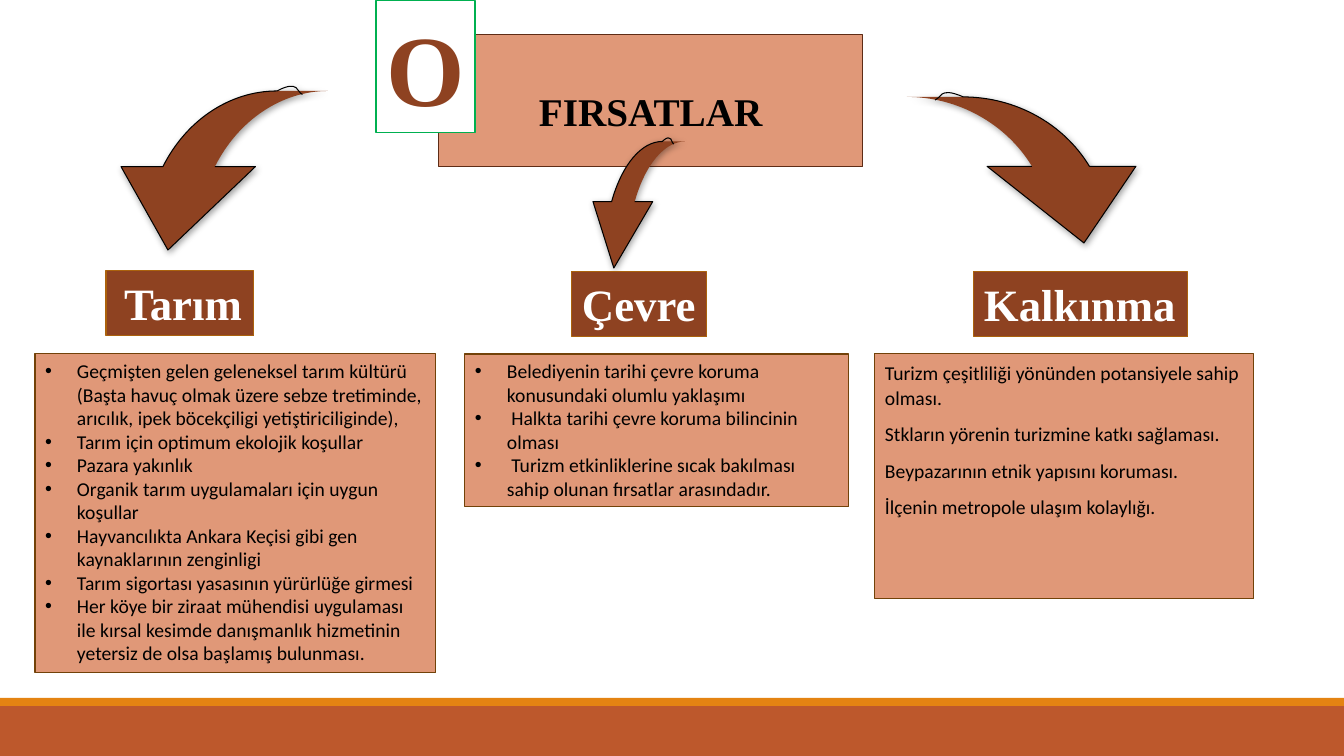
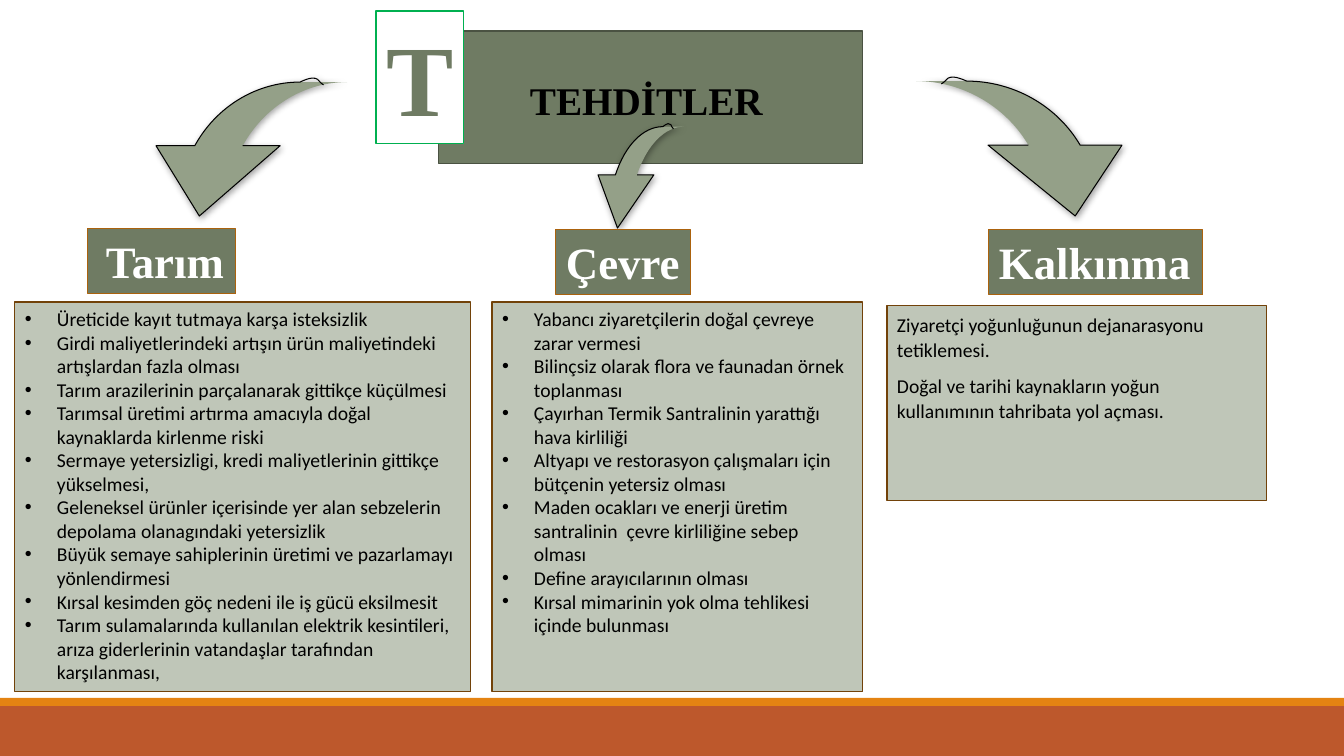
import pptx
import pptx.dml.color
import pptx.enum.shapes
import pptx.enum.text
import pptx.oxml
import pptx.oxml.ns
import pptx.util

PX = 914400 / 100.8
PAGE_WIDTH, PAGE_HEIGHT = 1344, 756
INSET_X, INSET_Y = 10, 5
BULLET_INDENT = 32
NAMESPACE = pptx.oxml.ns.nsdecls("a")

COLOURS = {
    "white": "FFFFFF", "black": "000000",
    "band": "BD582C", "stripe": "E48312",
    "letter_line": "00B050", "tag_line": "AB620D", "panel_line": "724209",
}
THEMES = {
    "rust": {"title": "E09878", "title_line": "5E2C16", "tag": "8E4221",
             "arrow": "8E4221", "panel": "E09878"},
    "sage": {"title": "6F7B63", "title_line": "4A5242", "tag": "6F7B63",
             "arrow": "94A088", "panel": "BFC6B8"},
}
FORMATS = {
    "letter": {"name": "Times New Roman", "size": pptx.util.Pt(72), "bold": True},
    "title": {"name": "Times New Roman", "size": pptx.util.Pt(28), "bold": True},
    "tag": {"name": "Times New Roman", "size": pptx.util.Pt(32), "bold": True},
    "body": {"name": "Calibri", "size": pptx.util.Pt(14), "bold": False},
}
SPACED = {"line_spacing": 1.07, "space_after": pptx.util.Pt(8)}

# Curved arrow in thousandths of its frame: M move, L line, C curve
ARROW_HEAD = [("L", (1000, 512)), ("L", (773, 1000)),
              ("L", (350, 512)), ("L", (546, 512))]
OUTER_CURVE = ("C", (471, 70), (683, 237), (797, 512))
ARROW_BODY = [("M", (246, 70)), OUTER_CURVE, *ARROW_HEAD,
              ("C", (432, 237), (220, 70), (0, 70)), ("Z",)]
ARROW_EDGE = [("M", (123, 90)), ("C", (150, 83), (137, 0), (246, 70)),
              OUTER_CURVE, *ARROW_HEAD]
COMMANDS = {"M": "moveTo", "L": "lnTo", "C": "cubicBezTo", "Z": "close"}

SHADOW = (
    f'<a:effectLst {NAMESPACE}><a:outerShdw blurRad="63500" dist="25400" '
    'dir="3720000" rotWithShape="0"><a:srgbClr val="000000">'
    '<a:alpha val="37000"/></a:srgbClr></a:outerShdw></a:effectLst>')

SLIDES = [
    {
        "theme": "rust",
        "title": ("FIRSATLAR", (439, 35, 424, 132), (529, 82, 246, 57)),
        "letter": ("O", (376, 1, 99, 132)),
        "arrows": [((121, 79, 207, 171), True), ((593, 132, 92, 136), True),
                   ((907, 86, 229, 157), False)],
        "tags": [(106, 271), (572, 272), (974, 272)],
        "panels": [
            ((35, 354, 401, 319), True, [
                "Geçmişten gelen geleneksel tarım kültürü (Başta havuç olmak üzere "
                "sebze tretiminde, arıcılık, ipek böcekçiligi yetiştiriciliginde),",
                "Tarım için optimum ekolojik koşullar",
                "Pazara yakınlık",
                "Organik tarım uygulamaları için uygun koşullar",
                "Hayvancılıkta Ankara Keçisi gibi gen kaynaklarının zenginligi",
                "Tarım sigortası yasasının yürürlüğe girmesi",
                "Her köye bir ziraat mühendisi uygulaması ile kırsal kesimde "
                "danışmanlık hizmetinin yetersiz de olsa başlamış bulunması.",
            ]),
            ((465, 354, 384, 153), True, [
                "Belediyenin tarihi çevre koruma konusundaki olumlu yaklaşımı",
                " Halkta tarihi çevre koruma bilincinin olması",
                " Turizm etkinliklerine sıcak bakılması sahip olunan fırsatlar "
                "arasındadır.",
            ]),
            ((875, 354, 379, 245), False, [
                "Turizm çeşitliliği yönünden potansiyele sahip olması.",
                "Stkların yörenin turizmine katkı sağlaması.",
                "Beypazarının etnik yapısını koruması.",
                "İlçenin metropole ulaşım kolaylığı.",
            ]),
        ],
    },
    {
        "theme": "sage",
        "title": ("TEHDİTLER", (439, 31, 424, 133), (520, 71, 255, 57)),
        "letter": ("T", (376, 11, 88, 133)),
        "arrows": [((156, 72, 191, 144), True), ((598, 119, 86, 109), True),
                   ((916, 71, 206, 145), False)],
        "tags": [(88, 229), (556, 230), (989, 230)],
        "panels": [
            ((15, 302, 456, 390), True, [
                "Üreticide kayıt tutmaya karşa isteksizlik",
                "Girdi maliyetlerindeki artışın ürün maliyetindeki artışlardan "
                "fazla olması",
                "Tarım arazilerinin parçalanarak gittikçe küçülmesi",
                "Tarımsal üretimi artırma amacıyla doğal kaynaklarda kirlenme riski",
                "Sermaye yetersizligi, kredi maliyetlerinin gittikçe yükselmesi,",
                "Geleneksel ürünler içerisinde yer alan sebzelerin depolama "
                "olanagındaki yetersizlik",
                "Büyük semaye sahiplerinin üretimi ve pazarlamayı yönlendirmesi",
                "Kırsal kesimden göç nedeni ile iş gücü eksilmesit",
                "Tarım sulamalarında kullanılan elektrik kesintileri, arıza "
                "giderlerinin vatandaşlar tarafından karşılanması,",
            ]),
            ((492, 302, 371, 390), True, [
                "Yabancı ziyaretçilerin doğal çevreye zarar vermesi",
                "Bilinçsiz olarak flora ve faunadan örnek toplanması",
                "Çayırhan Termik Santralinin yarattığı hava kirliliği",
                "Altyapı ve restorasyon çalışmaları için bütçenin yetersiz olması",
                "Maden ocakları ve enerji üretim santralinin  çevre kirliliğine "
                "sebep olması",
                "Define arayıcılarının olması",
                "Kırsal mimarinin yok olma tehlikesi içinde bulunması",
            ]),
            ((887, 306, 380, 195), False, [
                "Ziyaretçi yoğunluğunun dejanarasyonu tetiklemesi.",
                "Doğal ve tarihi kaynakların yoğun kullanımının tahribata yol "
                "açması.",
            ]),
        ],
    },
]
# Column headings: text, width, left inset
TAGS = [("Tarım", 148, 18), ("Çevre", 135, INSET_X), ("Kalkınma", 214, INSET_X)]
TAG_HEIGHT = 65


def px(length):
    return pptx.util.Emu(round(length * PX))


def rgb(colour):
    return pptx.dml.color.RGBColor.from_string(colour)


def paint(shape, fill, line=None):
    """Set a flat fill and a thin outline, if any."""
    shape.shadow.inherit = False
    shape.fill.solid()
    shape.fill.fore_color.rgb = rgb(fill)
    if line:
        shape.line.color.rgb = rgb(line)
        shape.line.width = pptx.util.Pt(0.75)
    else:
        shape.line.fill.background()


def add_box(page, frame, fill, line=None):
    box = page.shapes.add_shape(
        pptx.enum.shapes.MSO_SHAPE.RECTANGLE, *map(px, frame))
    paint(box, fill, line)
    return box


def add_bullet(para):
    properties = para._p.get_or_add_pPr()
    properties.set("marL", str(px(BULLET_INDENT)))
    properties.set("indent", str(-px(BULLET_INDENT)))
    for element in ('buFont %s typeface="Arial"', 'buChar %s char="•"'):
        properties.append(pptx.oxml.parse_xml(f"<a:{element % NAMESPACE}/>"))


def write(box, lines, style, colour, inset=INSET_X, bullets=False, spacing=None):
    frame = box.text_frame
    layout = {
        "word_wrap": True, "vertical_anchor": pptx.enum.text.MSO_ANCHOR.TOP,
        "margin_left": px(inset), "margin_right": px(INSET_X),
        "margin_top": px(INSET_Y), "margin_bottom": px(INSET_Y),
    }
    for name, value in layout.items():
        setattr(frame, name, value)
    for index, line in enumerate(lines):
        para = frame.add_paragraph() if index else frame.paragraphs[0]
        para.alignment = pptx.enum.text.PP_ALIGN.LEFT
        for name, value in (spacing or {}).items():
            setattr(para, name, value)
        if bullets:
            add_bullet(para)
        span = para.add_run()
        span.text = line
        for name, value in FORMATS[style].items():
            setattr(span.font, name, value)
        span.font.color.rgb = rgb(colour)


def path_xml(commands, mirrored, options):
    parts = []
    for command, *points in commands:
        corners = "".join(
            f'<a:pt x="{1000 - x if mirrored else x}" y="{y}"/>' for x, y in points)
        parts.append(f"<a:{COMMANDS[command]}>{corners}</a:{COMMANDS[command]}>")
    return f'<a:path w="1000" h="1000" {options}>{"".join(parts)}</a:path>'


def add_curved_arrow(page, frame, mirrored, fill):
    left, top, width, height = map(px, frame)
    right, bottom = left + width, top + height
    builder = page.shapes.build_freeform(left, top)
    builder.add_line_segments([(right, top), (right, bottom), (left, bottom)])
    arrow = builder.convert_to_shape()
    paint(arrow, fill, COLOURS["black"])
    properties = arrow._element.spPr
    # Filled body without a line, then an open edge without a fill
    paths = (path_xml(ARROW_BODY, mirrored, 'stroke="0"')
             + path_xml(ARROW_EDGE, mirrored, 'fill="none"'))
    for tag, xml in (("a:pathLst", f"<a:pathLst {NAMESPACE}>{paths}</a:pathLst>"),
                     ("a:effectLst", SHADOW)):
        element = next(properties.iter(pptx.oxml.ns.qn(tag)))
        element.getparent().replace(element, pptx.oxml.parse_xml(xml))


def add_footer(deck, page):
    """Draw the bands and hand them to the master, for every slide."""
    bands = [((0, 706, PAGE_WIDTH, 50), "band"), ((0, 698, PAGE_WIDTH, 8), "stripe")]
    for number, (frame, colour) in enumerate(bands, 101):
        element = add_box(page, frame, COLOURS[colour])._element
        element.nvSpPr.cNvPr.set("id", str(number))
        deck.slide_master.shapes._spTree.append(element)


def add_title(page, title, letter, theme):
    text, block, text_frame = title
    add_box(page, block, theme["title"], theme["title_line"])
    initial, initial_frame = letter
    box = add_box(page, initial_frame, COLOURS["white"], COLOURS["letter_line"])
    write(box, [initial], "letter", theme["tag"])
    label = page.shapes.add_textbox(*map(px, text_frame))
    write(label, [text], "title", COLOURS["black"])


def add_swot_page(deck, content):
    page = deck.slides.add_slide(deck.slide_layouts[6])
    theme = THEMES[content["theme"]]
    add_title(page, content["title"], content["letter"], theme)
    for frame, mirrored in content["arrows"]:
        add_curved_arrow(page, frame, mirrored, theme["arrow"])
    # Columns: panel of points under a heading
    for frame, bullets, lines in content["panels"]:
        panel = add_box(page, frame, theme["panel"], COLOURS["panel_line"])
        write(panel, lines, "body", COLOURS["black"], bullets=bullets,
              spacing=None if bullets else SPACED)
    for (left, top), (text, width, inset) in zip(content["tags"], TAGS):
        tag = add_box(page, (left, top, width, TAG_HEIGHT), theme["tag"],
                      COLOURS["tag_line"])
        write(tag, [text], "tag", COLOURS["white"], inset=inset)
    return page


def main():
    deck = pptx.Presentation()
    deck.slide_width, deck.slide_height = px(PAGE_WIDTH), px(PAGE_HEIGHT)
    pages = [add_swot_page(deck, content) for content in SLIDES]
    add_footer(deck, pages[0])
    deck.save("out.pptx")


if __name__ == "__main__":
    main()
